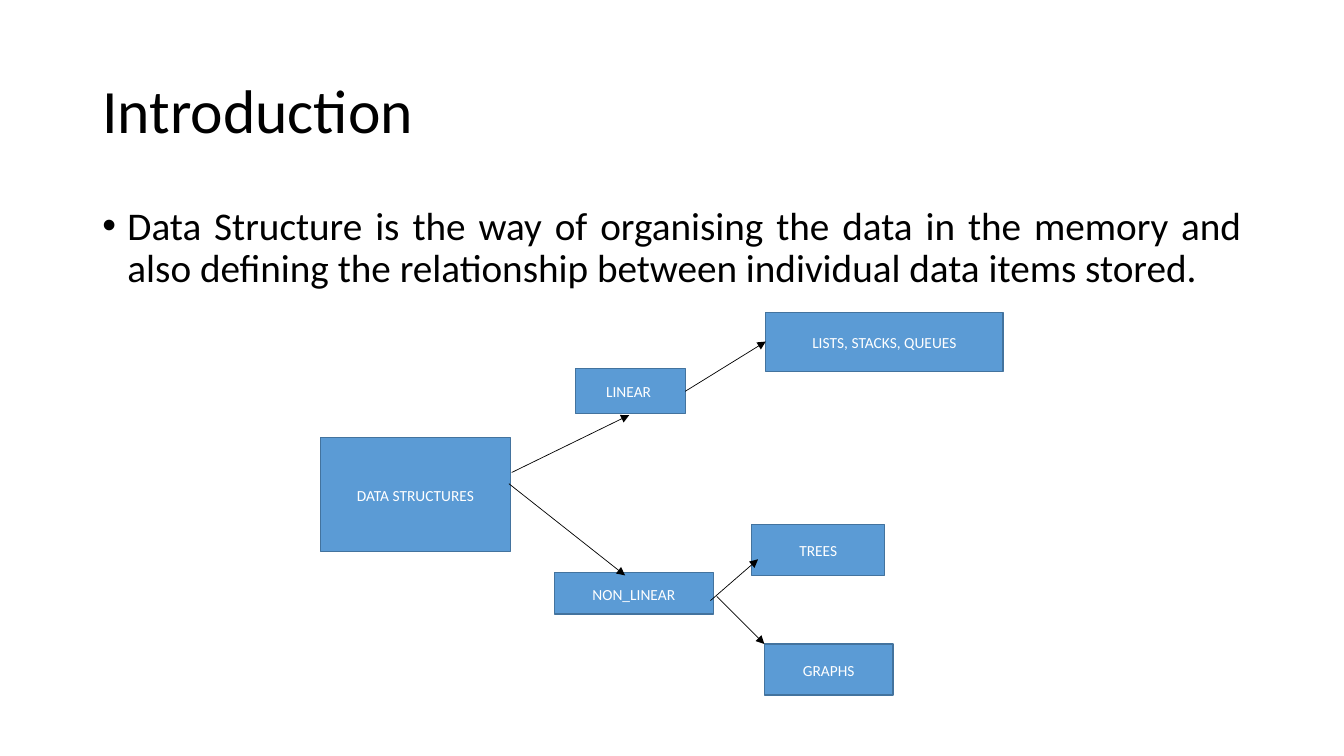
from lxml.etree import SubElement
from pptx import Presentation
from pptx.dml.color import RGBColor
from pptx.enum.shapes import MSO_CONNECTOR, MSO_SHAPE
from pptx.enum.text import MSO_ANCHOR, PP_ALIGN
from pptx.oxml.ns import qn
from pptx.util import Pt


def color(value):
    return RGBColor.from_string(value)


def write(frame, text, size, ink, align, spacing, anchor):
    frame.word_wrap = True
    frame.vertical_anchor = anchor
    paragraph = frame.paragraphs[0]
    paragraph.text = text
    paragraph.alignment = align
    paragraph.line_spacing = spacing
    if size == 28:
        properties = paragraph._p.get_or_add_pPr()
        properties.set("marL", str(Pt(18)))
        properties.set("indent", str(-Pt(18)))
        SubElement(properties, qn("a:buFont")).set("typeface", "Arial")
        SubElement(properties, qn("a:buChar")).set("char", "•")
    paragraph.font.name = "Calibri"
    paragraph.font.size = Pt(size)
    paragraph.font.color.rgb = color(ink)
    return paragraph


presentation = Presentation()
presentation.slide_width = Pt(960)
presentation.slide_height = Pt(540)
slide = presentation.slides.add_slide(presentation.slide_layouts[6])

# Title and definition
title = slide.shapes.add_textbox(Pt(66), Pt(28.8), Pt(828), Pt(104.4))
write(title.text_frame, "Introduction", 44, "000000",
      PP_ALIGN.LEFT, 0.9, MSO_ANCHOR.MIDDLE)

definition = slide.shapes.add_textbox(Pt(66), Pt(144), Pt(828), Pt(373.7))
write(definition.text_frame,
      "Data Structure is the way of organising the data in the memory and "
      "also defining the relationship between individual data items stored.",
      28, "000000", PP_ALIGN.JUSTIFY, 0.9, MSO_ANCHOR.TOP)

# Tree of data structures: label, left, top, width, height
structures = [
    ("DATA STRUCTURES", 229, 312.5, 135.5, 81.5),
    ("NON_LINEAR", 396, 409, 113.5, 29.5),
    ("LINEAR ", 411, 263, 78.5, 32.5),
    ("GRAPHS", 546, 460, 92, 36.5),
    ("TREES", 537, 374.5, 95, 36.5),
    ("LISTS, STACKS, QUEUES", 547, 223, 169.5, 42.5),
]
for label, left, top, width, height in structures:
    structure = slide.shapes.add_shape(
        MSO_SHAPE.RECTANGLE, Pt(left), Pt(top), Pt(width), Pt(height))
    structure.shadow.inherit = False
    structure.fill.solid()
    structure.fill.fore_color.rgb = color("5B9BD5")
    structure.line.color.rgb = color("43739E")
    structure.line.width = Pt(1)
    caption = write(structure.text_frame, label, 11, "FFFFFF",
                    PP_ALIGN.CENTER, 1.07, MSO_ANCHOR.MIDDLE)
    caption.space_after = Pt(8)

# Arrows from each structure to its kinds: start x, y, end x, y
branches = [
    (365.5, 337.5, 449.5, 296.5),
    (363.5, 345.5, 446.5, 411),
    (507.5, 429, 541.5, 399.5),
    (512, 426, 546, 460),
    (489.5, 279.5, 547, 244),
]
for branch in branches:
    arrow = slide.shapes.add_connector(
        MSO_CONNECTOR.STRAIGHT, *[Pt(value) for value in branch])
    arrow.line.color.rgb = color("000000")
    arrow.line.width = Pt(0.5)
    SubElement(arrow.line._get_or_add_ln(), qn("a:tailEnd")).set("type", "triangle")
    SubElement(arrow._element.spPr, qn("a:effectLst"))

presentation.save("out.pptx")
